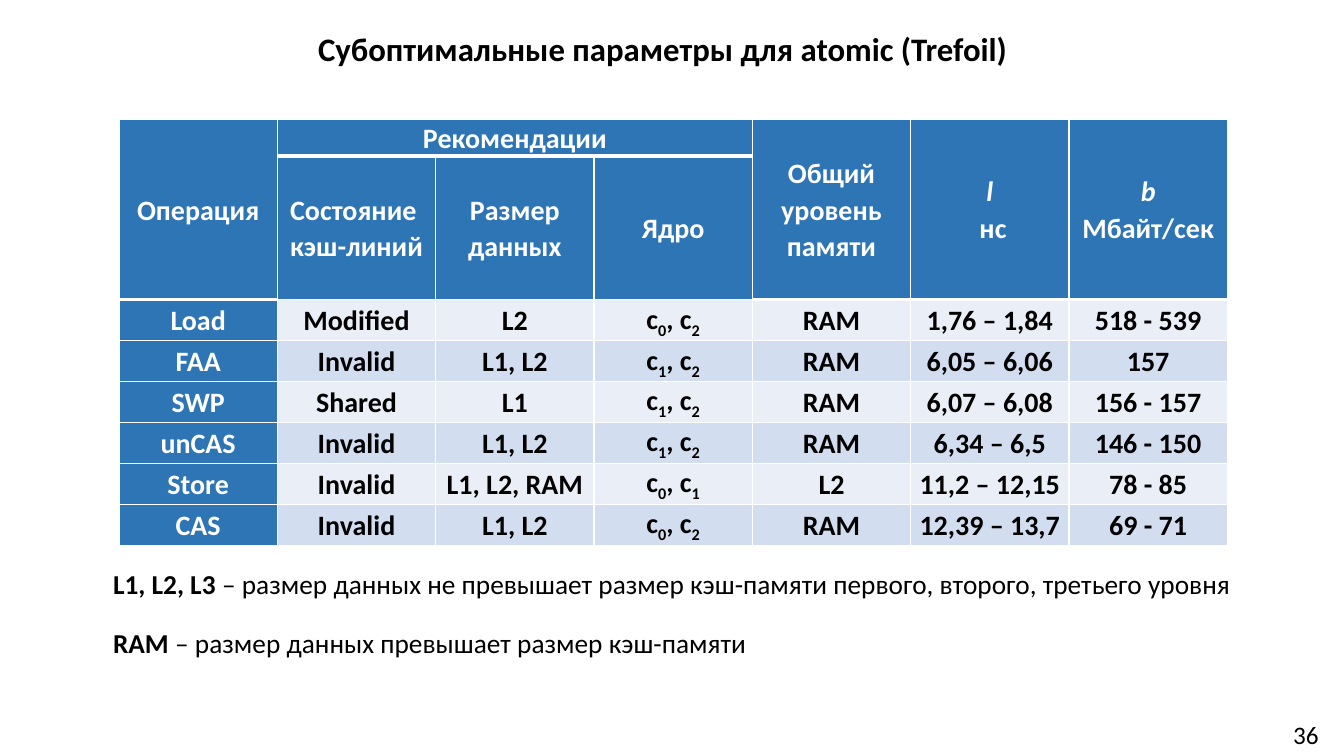
from lxml.etree import SubElement
from pptx import Presentation
from pptx.dml.color import RGBColor
from pptx.enum.text import MSO_ANCHOR as Anchor, PP_ALIGN as Align
from pptx.oxml.ns import qn
from pptx.util import Cm, Pt

COLUMN_WIDTH = 3.99
ROW_HEIGHTS = [0.93, 3.62] + [1.03] * 6
# (row, column, last row, last column, lines)
HEADERS = [
    (0, 0, 1, 0, ["Операция"]),
    (0, 1, 0, 3, ["Рекомендации"]),
    (0, 4, 1, 4, ["Общий уровень памяти"]),
    (0, 5, 1, 5, ["l", " нс"]),
    (0, 6, 1, 6, ["b", "Мбайт/сек"]),
    (1, 1, 1, 1, ["Состояние ", "кэш-линий"]),
    (1, 2, 1, 2, ["Размер данных"]),
    (1, 3, 1, 3, ["Ядро"]),
]
OPERATIONS = [
    ["Load", "Modified", "L2", ["c", "0", ", с", "2"], "RAM", "1,76 – 1,84", "518 - 539"],
    ["FAA", "Invalid", "L1, L2", ["c", "1", ", c", "2"], "RAM", "6,05 – 6,06", "157"],
    ["SWP", "Shared", "L1", ["c", "1", ", c", "2"], "RAM", "6,07 – 6,08", "156 - 157"],
    ["unCAS", "Invalid", "L1, L2", ["c", "1", ", c", "2"], "RAM", "6,34 – 6,5", "146 - 150"],
    ["Store", "Invalid", "L1, L2, RAM", ["c", "0", ", c", "1"], "L2", "11,2 – 12,15", "78 - 85"],
    ["CAS", "Invalid", "L1, L2", ["c", "0", ", с", "2"], "RAM", "12,39 – 13,7", "69 - 71"],
]
NOTES = [
    ("L1, L2, L3 ", "– размер данных не превышает размер кэш-памяти первого, второго, третьего уровня"),
    ("RAM ", "– размер данных превышает размер кэш-памяти"),
]


def rgb(color):
    return RGBColor.from_string(color)


def add_text(paragraph, text, size=20, color="000000", bold=False, italic=False, subscript=False):
    run = paragraph.add_run()
    run.text = text
    font = run.font
    font.name, font.size = SlideBuilder.FONT, Pt(size)
    font.bold, font.italic = bold, italic
    font.color.rgb = rgb(color)
    if subscript:
        font._element.set("baseline", "-25000")


def add_paragraph(frame, is_first, align, line_spacing):
    paragraph = frame.paragraphs[0] if is_first else frame.add_paragraph()
    paragraph.alignment = align
    paragraph.line_spacing = line_spacing
    return paragraph


class SlideBuilder:
    FONT = "Calibri"
    BLUE, WHITE = "2E75B6", "FFFFFF"
    BANDS = ["EAEFF7", "D2DEEF"]

    def __init__(self, presentation):
        self.slide = presentation.slides.add_slide(presentation.slide_layouts[6])

    def text_box(self, left, top, width, height, anchor=Anchor.TOP):
        box = self.slide.shapes.add_textbox(Cm(left), Cm(top), Cm(width), Cm(height))
        frame = box.text_frame
        frame.word_wrap = True
        frame.vertical_anchor = anchor
        return frame

    def line(self, text, *place, anchor=Anchor.TOP, line_spacing=1.0, **style):
        """Add a text box with one centred line."""
        frame = self.text_box(*place, anchor=anchor)
        add_text(add_paragraph(frame, True, Align.CENTER, line_spacing), text, **style)

    def notes(self, notes, *place):
        """Add explanations, each with a bold term at its start."""
        frame = self.text_box(*place)
        for index, (term, meaning) in enumerate(notes):
            paragraph = add_paragraph(frame, index == 0, Align.LEFT, 0.9)
            if index:
                paragraph.space_before = Pt(21)
            add_text(paragraph, term, size=19.5, bold=True)
            add_text(paragraph, meaning, size=19.5)

    def borders(self, cell, bottom):
        properties = cell._tc.get_or_add_tcPr()
        for side, width in (("L", 1), ("R", 1), ("T", 1), ("B", bottom)):
            line = SubElement(properties, qn(f"a:ln{side}"), w=str(Pt(width)))
            fill = SubElement(line, qn("a:solidFill"))
            SubElement(fill, qn("a:srgbClr"), val=self.WHITE)

    def format_cell(self, cell, fill, bottom=1):
        self.borders(cell, bottom)
        cell.fill.solid()
        cell.fill.fore_color.rgb = rgb(fill)
        cell.vertical_anchor = Anchor.MIDDLE
        cell.margin_left = cell.margin_right = Cm(0.18)
        cell.margin_top = cell.margin_bottom = 0

    def table(self, left, top):
        columns = len(OPERATIONS[0])
        frame = self.slide.shapes.add_table(
            len(ROW_HEIGHTS), columns, Cm(left), Cm(top),
            Cm(COLUMN_WIDTH * columns), Cm(sum(ROW_HEIGHTS)))
        table = frame.table
        table.first_row = table.horz_banding = False
        for column in table.columns:
            column.width = Cm(COLUMN_WIDTH)
        for row, height in zip(table.rows, ROW_HEIGHTS):
            row.height = Cm(height)
        self.header(table)
        self.body(table)

    def header(self, table):
        for row, column, last_row, last_column, lines in HEADERS:
            for i in range(row, last_row + 1):
                for j in range(column, last_column + 1):
                    self.format_cell(table.cell(i, j), self.BLUE, bottom=1 if row else 3)
            cell = table.cell(row, column)
            if (row, column) != (last_row, last_column):
                cell.merge(table.cell(last_row, last_column))
            for index, text in enumerate(lines):
                paragraph = add_paragraph(cell.text_frame, index == 0, Align.CENTER, 1.07)
                add_text(paragraph, text, color=self.WHITE, bold=True, italic=text in ("l", "b"))

    def body(self, table):
        for index, operation in enumerate(OPERATIONS):
            for column, value in enumerate(operation):
                cell = table.cell(index + 2, column)
                is_name = column == 0
                self.format_cell(cell, self.BLUE if is_name else self.BANDS[index % 2])
                paragraph = add_paragraph(cell.text_frame, True, Align.CENTER, 1.07)
                parts = value if isinstance(value, list) else [value]
                for position, part in enumerate(parts):
                    add_text(paragraph, part, bold=True, subscript=position % 2 == 1,
                             color=self.WHITE if is_name else "000000")


def main():
    presentation = Presentation()
    presentation.slide_width, presentation.slide_height = Cm(33.87), Cm(19.05)
    builder = SlideBuilder(presentation)
    builder.line("36", 31.95, 17.96, 1.92, 1.09, anchor=Anchor.MIDDLE, size=18)
    builder.table(3, 3)
    builder.line("Субоптимальные параметры для atomic (Trefoil)", 0, 0.71, 33.4, 1.7,
                 line_spacing=0.9, size=23.4, bold=True)
    builder.notes(NOTES, 2.6, 14.27, 31.2, 3.2)
    presentation.save("out.pptx")


if __name__ == "__main__":
    main()
